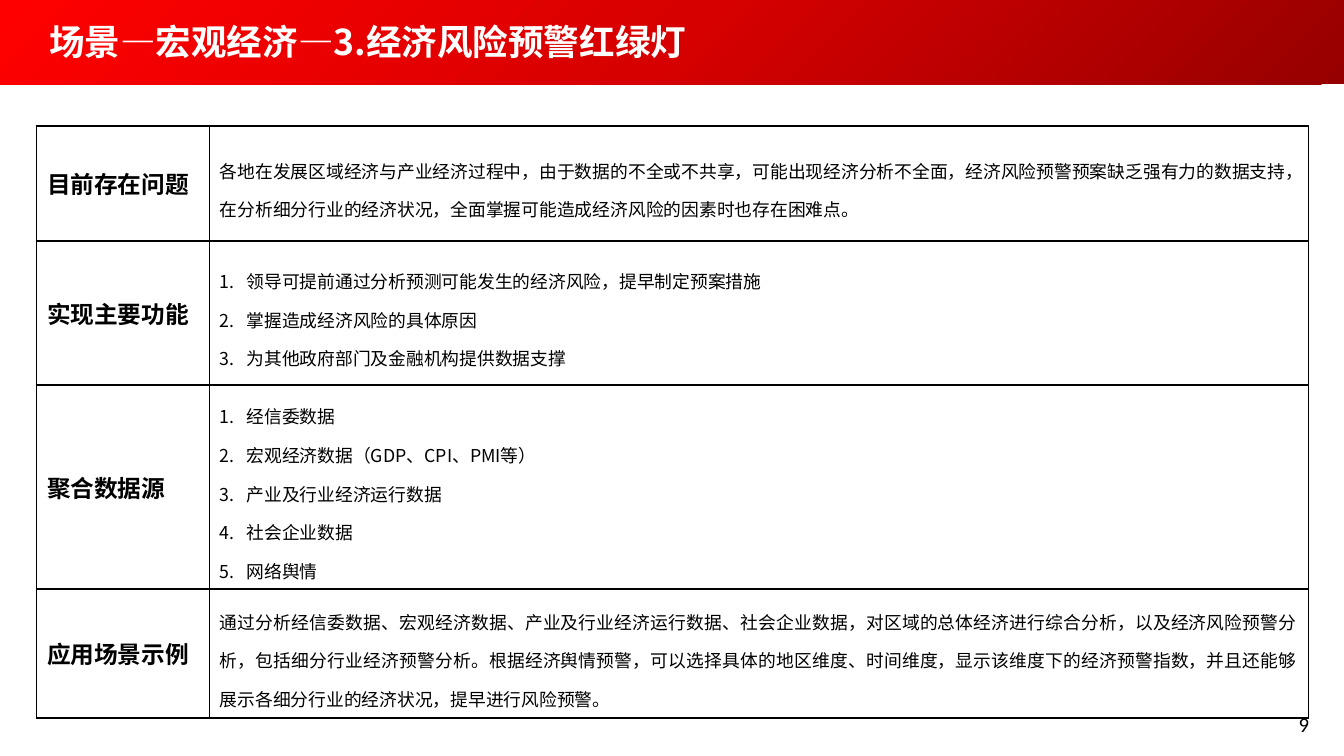
from copy import deepcopy

from lxml.etree import SubElement
from pptx import Presentation
from pptx.dml.color import RGBColor
from pptx.enum.shapes import MSO_SHAPE
from pptx.enum.text import MSO_ANCHOR, PP_ALIGN
from pptx.oxml.ns import qn
from pptx.util import Pt

TITLE = "场景—宏观经济—3.经济风险预警红绿灯"
PAGE_NUMBER = "9"
# Row label, row height, paragraphs, paragraph style
ROWS = [
    ("目前存在问题", 77.8, [
        "各地在发展区域经济与产业经济过程中，由于数据的不全或不共享，可能出现经济分析不全面，"
        "经济风险预警预案缺乏强有力的数据支持，在分析细分行业的经济状况，"
        "全面掌握可能造成经济风险的因素时也存在困难点。",
    ], "plain"),
    ("实现主要功能", 97.2, [
        "领导可提前通过分析预测可能发生的经济风险，提早制定预案措施",
        "掌握造成经济风险的具体原因",
        "为其他政府部门及金融机构提供数据支撑",
    ], "numbered"),
    ("聚合数据源", 105.8, [
        "经信委数据",
        "宏观经济数据（GDP、CPI、PMI等）",
        "产业及行业经济运行数据",
        "社会企业数据",
        "网络舆情",
    ], "numbered"),
    ("应用场景示例", 87.1, [
        "通过分析经信委数据、宏观经济数据、产业及行业经济运行数据、社会企业数据，"
        "对区域的总体经济进行综合分析，以及经济风险预警分析，包括细分行业经济预警分析。"
        "根据经济舆情预警，可以选择具体的地区维度、时间维度，显示该维度下的经济预警指数，"
        "并且还能够展示各细分行业的经济状况，提早进行风险预警。",
    ], "justified"),
]
COLUMN_WIDTHS = (116.6, 742.3)
BANNER_STOPS = ("970000", "D70000", "FF0000")
SLIDE_WIDTH, SLIDE_HEIGHT = 907.2, 510.5
CJK_FONT = "Noto Sans CJK SC"
BLACK, WHITE = "000000", "FFFFFF"


def color(hex_string):
    return RGBColor.from_string(hex_string)


def style_text(para, size, hex_string, bold=False, font_name=CJK_FONT):
    font = para.font
    font.size, font.bold, font.name = Pt(size), bold, font_name
    font.color.rgb = color(hex_string)
    properties = para._p.pPr.find(qn("a:defRPr"))
    SubElement(properties, qn("a:ea"), typeface=font_name)


def number_paragraph(para):
    properties = para._p.get_or_add_pPr()
    properties.set("marL", str(Pt(18)))
    properties.set("indent", str(-Pt(18)))
    SubElement(properties, qn("a:buFont"), typeface="+mj-lt")
    SubElement(properties, qn("a:buAutoNum"), type="arabicPeriod")


def frame_cell(cell):
    """Give the cell black borders and no fill."""
    properties = cell._tc.get_or_add_tcPr()
    for side in ("lnL", "lnR", "lnT", "lnB"):
        line = SubElement(properties, qn(f"a:{side}"), w=str(Pt(1)))
        fill = SubElement(line, qn("a:solidFill"))
        SubElement(fill, qn("a:srgbClr"), val=BLACK)
    cell.fill.background()
    cell.vertical_anchor = MSO_ANCHOR.MIDDLE


def add_banner(page):
    banner = page.shapes.add_shape(
        MSO_SHAPE.RECTANGLE, 0, 0, Pt(SLIDE_WIDTH), Pt(56.9))
    banner.shadow.inherit = False
    banner.line.fill.background()
    banner.fill.gradient()
    banner.fill.gradient_angle = 135
    stop_list = banner._element.spPr.find(qn("a:gradFill")).find(qn("a:gsLst"))
    stop_list.append(deepcopy(stop_list[0]))
    for index, (stop, shade) in enumerate(zip(banner.fill.gradient_stops, BANNER_STOPS)):
        stop.position = index / (len(BANNER_STOPS) - 1)
        stop.color.rgb = color(shade)
    page.shapes._spTree.insert(2, banner._element)  # behind the title


def add_title(page):
    title = page.shapes.title
    title.left, title.top, title.width, title.height = Pt(25.2), Pt(5), Pt(857.5), Pt(46)
    frame = title.text_frame
    frame.text = TITLE
    frame.vertical_anchor = MSO_ANCHOR.MIDDLE
    frame.margin_left = frame.margin_right = Pt(8)
    frame.margin_top = frame.margin_bottom = Pt(4)
    para = frame.paragraphs[0]
    para.alignment = PP_ALIGN.LEFT
    style_text(para, 24, WHITE, bold=True)


def add_scenario_table(page):
    total_height = sum(height for _, height, _, _ in ROWS)
    table = page.shapes.add_table(
        len(ROWS), len(COLUMN_WIDTHS), Pt(24.6), Pt(85),
        Pt(sum(COLUMN_WIDTHS)), Pt(total_height)).table
    table.first_row = table.horz_banding = False
    for column, width in zip(table.columns, COLUMN_WIDTHS):
        column.width = Pt(width)
    for row, (label, height, texts, kind) in zip(table.rows, ROWS):
        row.height = Pt(height)
        label_cell, detail_cell = row.cells
        frame_cell(label_cell)
        frame_cell(detail_cell)
        label_cell.text = label
        style_text(label_cell.text_frame.paragraphs[0], 16, BLACK, bold=True)
        detail_cell.text = "\n".join(texts)
        for para in detail_cell.text_frame.paragraphs:
            para.line_spacing = 1.5
            if kind == "numbered":
                number_paragraph(para)
            elif kind == "justified":
                para.alignment = PP_ALIGN.JUSTIFY
            style_text(para, 12, BLACK)


def add_page_number(page):
    box = page.shapes.add_textbox(Pt(679), Pt(477.4), Pt(211.7), Pt(27.4))
    box.text_frame.word_wrap = True
    box.text_frame.text = PAGE_NUMBER
    para = box.text_frame.paragraphs[0]
    para.alignment = PP_ALIGN.RIGHT
    style_text(para, 14, BLACK, font_name="Calibri")


def main():
    deck = Presentation()
    deck.slide_width, deck.slide_height = Pt(SLIDE_WIDTH), Pt(SLIDE_HEIGHT)
    page = deck.slides.add_slide(deck.slide_layouts.get_by_name("Title Only"))
    add_banner(page)
    add_title(page)
    add_scenario_table(page)
    add_page_number(page)
    deck.save("out.pptx")


if __name__ == "__main__":
    main()
